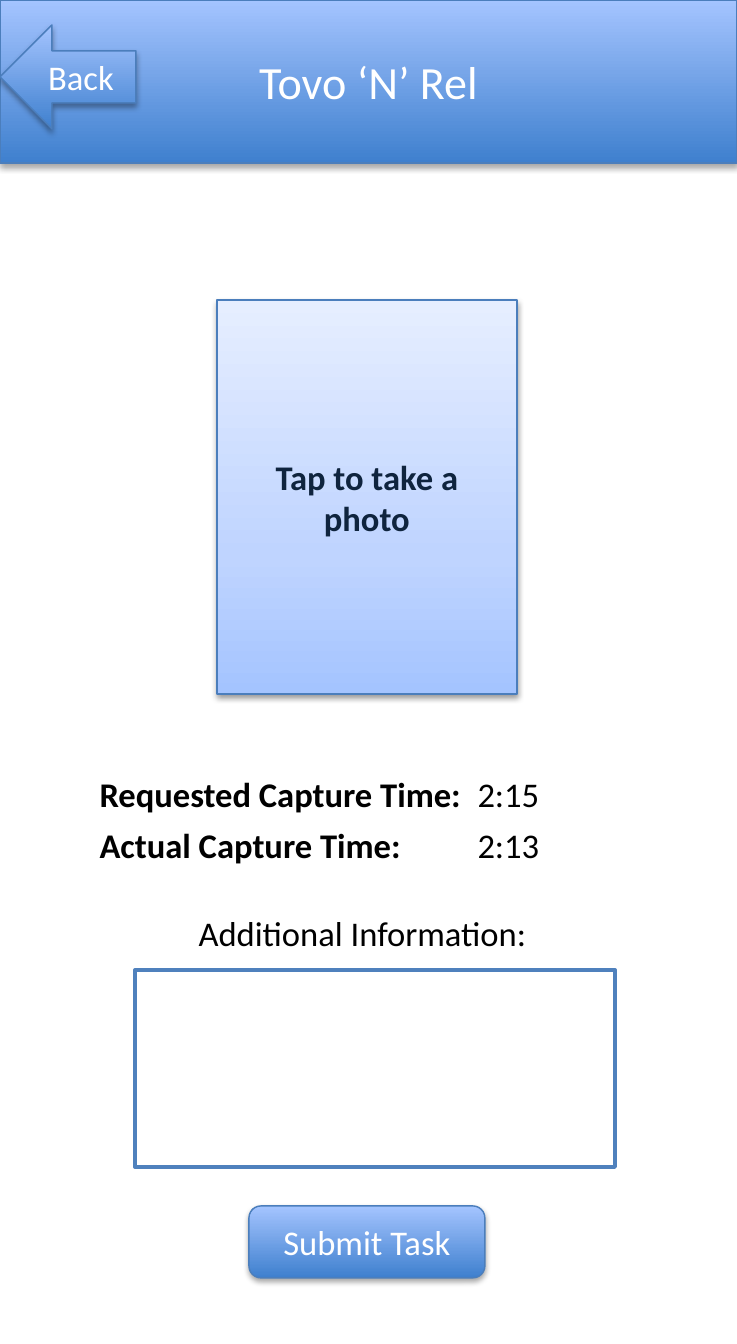
from lxml import etree
from pptx import Presentation
from pptx import util as u
from pptx.dml.color import RGBColor
from pptx.enum import shapes, text
from pptx.oxml import ns

COLORS = {
    "deep": "3F80CE", "soft": "A4C4FF", "pale": "BFD4FF", "mist": "E6EEFF",
    "edge": "4B7EBC", "frame": "4F81BD", "navy": "0F243E",
    "white": "FFFFFF", "black": "000000",
}
FONT = "Calibri"
SLIDE = (737, 1344)

# Gradients run from bottom to top: (position in percent, colour)
STRONG = [(0, "deep"), (100, "soft")]
LIGHT = [(0, "soft"), (35, "pale"), (100, "mist")]

BANNER = ("Tovo ‘N’ Rel", (0, 0, 737, 163))
BUTTONS = [  # words, preset, box, gradient, text colour, bold, shadow (percent, drop in points)
    ("Back", shapes.MSO_SHAPE.LEFT_ARROW, (0, 25, 136, 104), STRONG, "white", False, (35, 1.8)),
    ("Tap to take a photo", shapes.MSO_SHAPE.RECTANGLE, (217, 300, 300, 394),
     LIGHT, "navy", True, (38, 1.6)),
    ("Submit Task", shapes.MSO_SHAPE.ROUNDED_RECTANGLE, (249, 1206, 236, 72),
     STRONG, "white", False, (35, 1.8)),
]
TIMES = [("Requested Capture Time:", "2:15"), ("Actual Capture Time:", "2:13")]
TIMES_BOX = (86, 766, 480, 56)
TIMES_PITCH = 51
TIMES_TAB = 378
INFO_LABEL = ("Additional Information:", (185, 905, 382, 56))
INFO_FIELD = (135, 970, 480, 197)


def px(length):
    return u.Emu(round(length * 914400 / 138.3))


def rgb(name):
    return RGBColor.from_string(COLORS[name])


def set_font(paragraph, color, size=18, bold=False):
    font = paragraph.font
    font.name, font.size, font.bold = FONT, u.Pt(size), bold
    font.color.rgb = rgb(color)


def add_child(parent, tag, **attributes):
    return etree.SubElement(parent, ns.qn(tag), {k: str(v) for k, v in attributes.items()})


def outline(shape, color, width):
    shape.line.color.rgb = rgb(color)
    shape.line.width = u.Pt(width)


def make_glossy(shape, gradient, shadow):
    """Give a shape its gradient, thin edge and drop shadow."""
    shape.fill.gradient()
    shape.fill.gradient_angle = 90
    stops = shape.element.spPr.find(".//" + ns.qn("a:gsLst"))
    for stop in list(stops):
        stops.remove(stop)
    for position, color in gradient:
        stop = add_child(stops, "a:gs", pos=position * 1000)
        add_child(stop, "a:srgbClr", val=COLORS[color])
    outline(shape, "edge", 0.75)

    opacity, drop = shadow
    shape.shadow.inherit = False
    effects = shape.element.spPr.find(ns.qn("a:effectLst"))
    outer = add_child(effects, "a:outerShdw", blurRad=u.Pt(3.1), dist=u.Pt(drop),
                      dir=90 * 60000, rotWithShape=0)
    shade = add_child(outer, "a:srgbClr", val=COLORS["black"])
    add_child(shade, "a:alpha", val=opacity * 1000)


def write_centred(shape, words, color, size=18, bold=False):
    frame = shape.text_frame
    frame.text = words
    frame.word_wrap = True
    frame.auto_size = text.MSO_AUTO_SIZE.NONE
    frame.vertical_anchor = text.MSO_ANCHOR.MIDDLE
    paragraph = frame.paragraphs[0]
    paragraph.alignment = text.PP_ALIGN.CENTER
    set_font(paragraph, color, size, bold)


def add_label(slide, box):
    """Add an empty text box and return its first paragraph."""
    frame = slide.shapes.add_textbox(*map(px, box)).text_frame
    frame.word_wrap = True
    frame.auto_size = text.MSO_AUTO_SIZE.SHAPE_TO_FIT_TEXT
    paragraph = frame.paragraphs[0]
    set_font(paragraph, "black")
    return paragraph


def main():
    deck = Presentation()
    deck.slide_width, deck.slide_height = map(px, SLIDE)
    slide = deck.slides.add_slide(deck.slide_layouts[5])

    words, box = BANNER
    banner = slide.shapes.title
    banner.left, banner.top, banner.width, banner.height = map(px, box)
    make_glossy(banner, STRONG, (35, 1.8))
    write_centred(banner, words, "white", 24)

    for words, preset, box, gradient, color, bold, shadow in BUTTONS:
        button = slide.shapes.add_shape(preset, *map(px, box))
        make_glossy(button, gradient, shadow)
        write_centred(button, words, color, bold=bold)

    field = slide.shapes.add_shape(shapes.MSO_SHAPE.RECTANGLE, *map(px, INFO_FIELD))
    field.shadow.inherit = False
    field.fill.solid()
    field.fill.fore_color.rgb = rgb("white")
    outline(field, "frame", 2)

    left, top, width, height = TIMES_BOX
    for row, (caption, time) in enumerate(TIMES):
        line = add_label(slide, (left, top + row * TIMES_PITCH, width, height))
        tabs = etree.Element(ns.qn("a:tabLst"))
        add_child(tabs, "a:tab", pos=px(TIMES_TAB), algn="l")
        line._p.get_or_add_pPr().insert(0, tabs)
        heading = line.add_run()
        heading.text = caption + "\t"
        heading.font.bold = True
        line.add_run().text = time

    words, box = INFO_LABEL
    add_label(slide, box).add_run().text = words

    deck.save("out.pptx")


if __name__ == "__main__":
    main()
